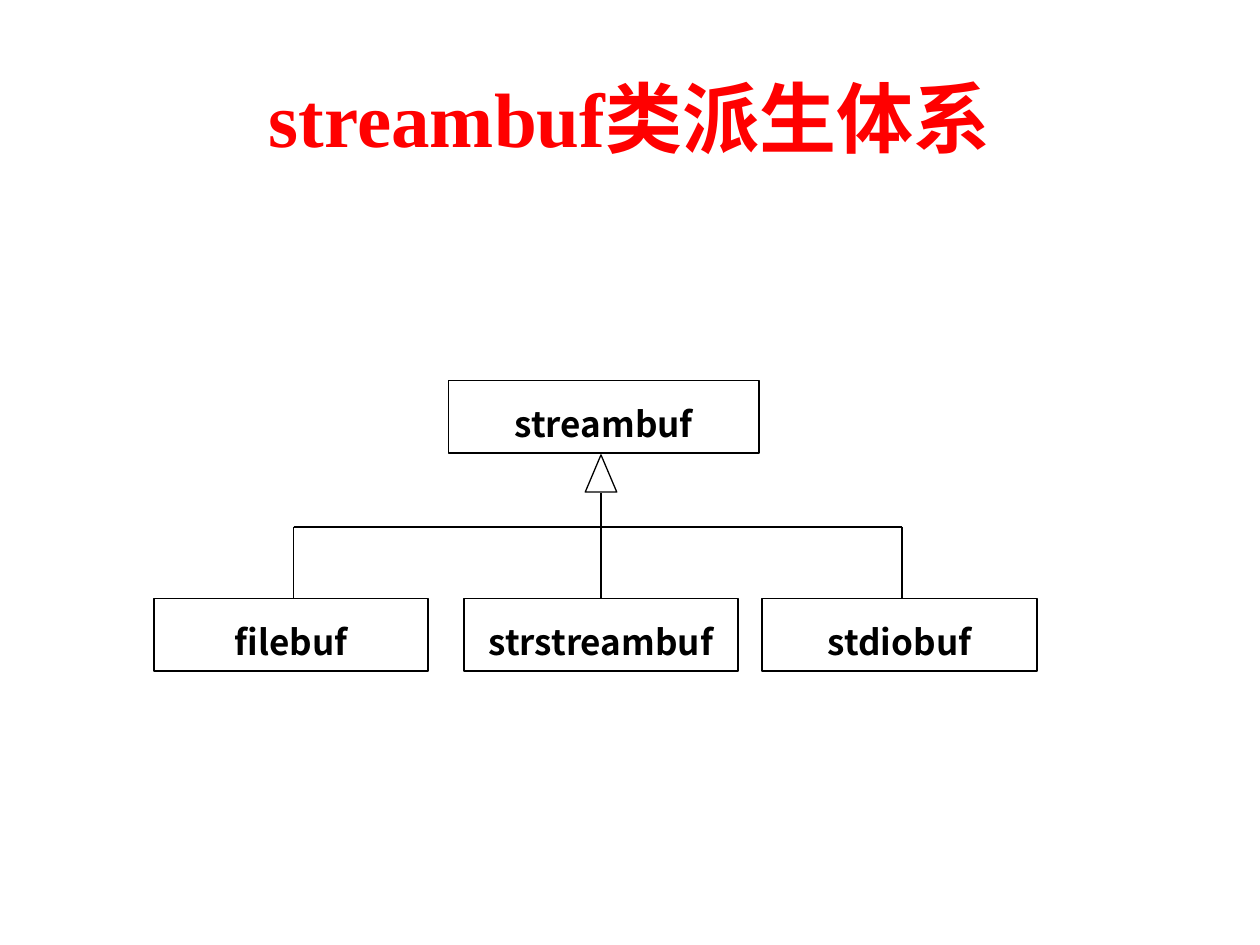
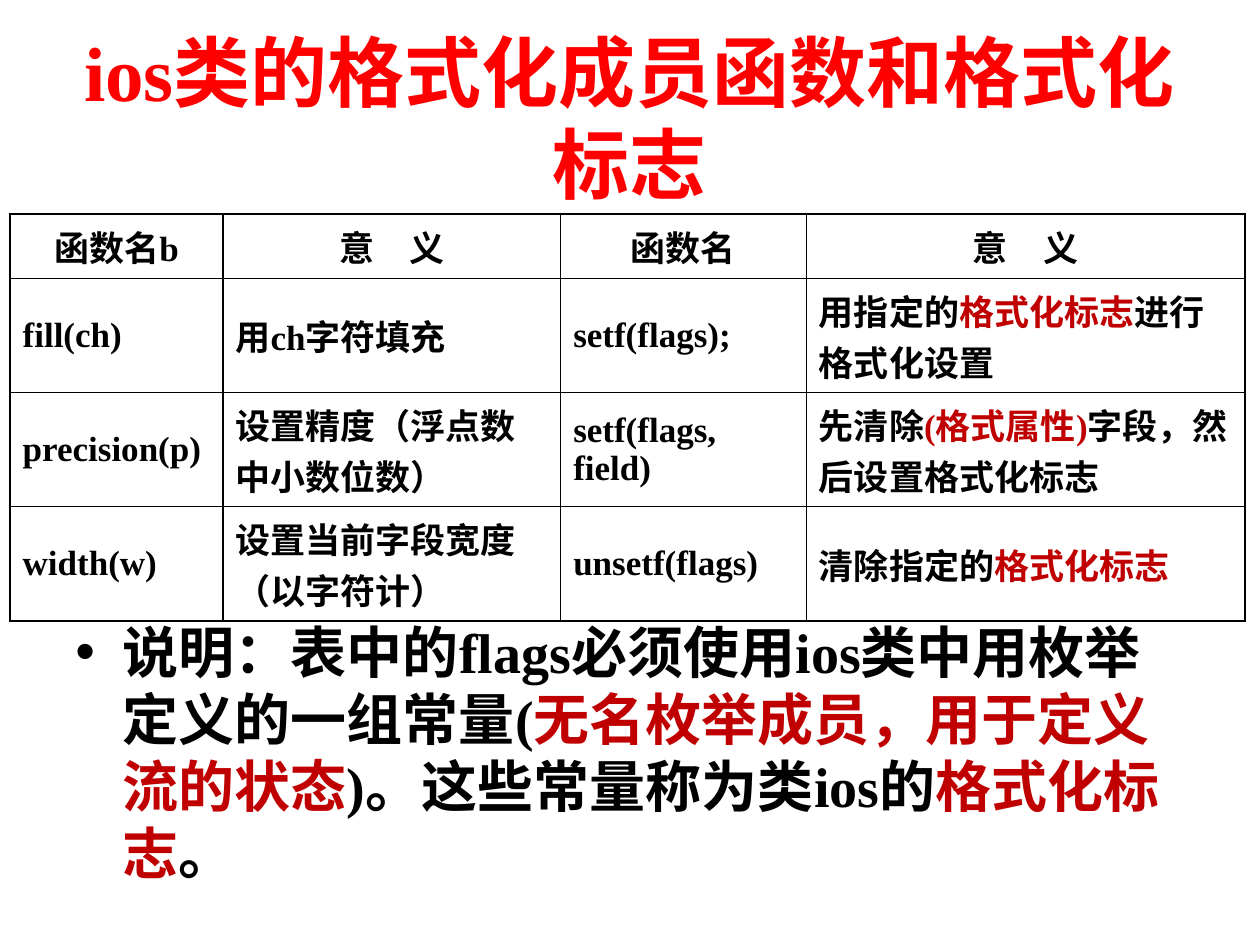
import pptx
import pptx.util
import pptx.dml.color
import pptx.enum.shapes
import pptx.enum.text
import pptx.oxml
import pptx.oxml.ns

INK, RED, DARK, PAPER = "000000", "FF0000", "C00000", "FFFFFF"
SERIF, SANS = "Times New Roman", "Noto Sans CJK SC"

TREE = "streambuf类派生体系"
BASE = "streambuf"
KIDS = [("filebuf", 12.2, 23.3), ("strstreambuf", 36.8, 47.7), ("stdiobuf", 60.5, 71.6)]

FLAGS = "ios类的格式化成员函数和格式化标志"
ROWS = [
    ("函数名b", "意\u3000义", "函数名", "意\u3000义"),
    ("fill(ch)", "用ch字符填充", "setf(flags);", "用指定的*格式化标志*进行格式化设置"),
    ("precision(p)", "设置精度（浮点数中小数位数）", "setf(flags, field)",
     "先清除*(格式属性)*字段，然后设置格式化标志"),
    ("width(w)", "设置当前字段宽度（以字符计）", "unsetf(flags)", "清除指定的*格式化标志*"),
]
COLS = [16.9, 26.8, 19.5, 34.8]
TALL = [5.1, 9.06, 9.06, 9.06]
NOTE = ("说明：表中的flags必须使用ios类中用枚举定义的一组常量(*无名枚举成员，用于定义流的状态*"
        ")。这些常量称为类ios的*格式化标志*。")

deck = pptx.Presentation()
deck.slide_width, deck.slide_height = pptx.util.Inches(10), pptx.util.Inches(7.5)
UNIT = deck.slide_width / 100
Shape = pptx.enum.shapes.MSO_SHAPE
Align = pptx.enum.text.PP_ALIGN
Anchor = pptx.enum.text.MSO_ANCHOR


def grid(*cells):
    return [round(cell * UNIT) for cell in cells]


def tint(code):
    return pptx.dml.color.RGBColor.from_string(code)


def add(node, tag, **attrs):
    item = node.makeelement(pptx.oxml.ns.qn(tag), attrs)
    node.append(item)
    return item


def write(frame, text, size=20, font=SERIF, color=INK, align=Align.LEFT, space=1.0):
    frame.word_wrap = True
    para = frame.paragraphs[0]
    para.alignment = align
    para.line_spacing = space
    for turn, part in enumerate(text.split("*")):
        if not part:
            continue
        run = para.add_run()
        run.text = part
        run.font.size = pptx.util.Pt(size)
        run.font.bold = True
        run.font.name = font
        run.font.color.rgb = tint(DARK if turn % 2 else color)
        add(run.font._element, "a:ea", typeface=SANS)
    return para


def page(title):
    slide = deck.slides.add_slide(deck.slide_layouts[6])
    frame = slide.shapes.add_textbox(*grid(5, 3, 90, 12.5)).text_frame
    frame.vertical_anchor = Anchor.MIDDLE
    write(frame, title, size=44, color=RED, align=Align.CENTER)
    return slide


def block(slide, kind, area, width=1):
    shape = slide.shapes.add_shape(kind, *grid(*area))
    shape.shadow.inherit = False
    shape.fill.solid()
    shape.fill.fore_color.rgb = tint(PAPER)
    shape.line.color.rgb = tint(INK)
    shape.line.width = pptx.util.Pt(width)
    return shape


def label(slide, text, area):
    frame = block(slide, Shape.RECTANGLE, area).text_frame
    frame.margin_left = frame.margin_right = 0
    frame.margin_top = frame.margin_bottom = 0
    frame.vertical_anchor = Anchor.MIDDLE
    write(frame, text, font=SANS, align=Align.CENTER, space=1.3)


def rule(slide, *ends):
    line = slide.shapes.add_connector(pptx.enum.shapes.MSO_CONNECTOR.STRAIGHT, *grid(*ends))
    line.line.color.rgb = tint(INK)
    line.line.width = pptx.util.Pt(1)
    add(line._element.spPr, "a:effectLst")


def edge(cell):
    props = cell._tc.get_or_add_tcPr()
    for spot, side in enumerate(("a:lnL", "a:lnR", "a:lnT", "a:lnB")):
        line = add(props, side, w="12700")
        add(add(line, "a:solidFill"), "a:srgbClr", val=INK)
        props.remove(line)
        props.insert(spot, line)


def tree():
    slide = page(TREE)
    bar, low, mid = 41.8, 47.5, KIDS[1][2]
    block(slide, Shape.FLOWCHART_EXTRACT, (46.45, 36.1, 2.5, 2.95), width=0.75)
    label(slide, BASE, (35.6, 30.2, 24.65, 5.75))
    for name, left, stem in KIDS:
        label(slide, name, (left, low, 21.8, 5.75))
        rule(slide, stem, bar, stem, low)
    rule(slide, KIDS[0][2], bar, KIDS[-1][2], bar)
    rule(slide, mid, bar, mid, 39.1)


def flags():
    slide = page(FLAGS)
    frame = slide.shapes.add_textbox(*grid(5, 48.5, 90, 19.3)).text_frame
    para = write(frame, NOTE, size=32)
    para.space_before = para.space_after = pptx.util.Pt(6.4)
    props = para._p.get_or_add_pPr()
    inset = grid(3.75)[0]
    props.set("marL", str(inset))
    props.set("indent", str(-inset))
    add(props, "a:buFont", typeface="Arial")
    add(props, "a:buChar", char="•")

    area = grid(0.8, 17, sum(COLS), sum(TALL))
    table = slide.shapes.add_table(len(ROWS), len(COLS), *area).table
    table.first_row = table.horz_banding = False
    for col, wide in zip(table.columns, grid(*COLS)):
        col.width = wide
    for row, tall in zip(table.rows, grid(*TALL)):
        row.height = tall
    for r, texts in enumerate(ROWS):
        for c, text in enumerate(texts):
            cell = table.cell(r, c)
            cell.fill.solid()
            cell.fill.fore_color.rgb = tint(PAPER)
            cell.vertical_anchor = Anchor.MIDDLE
            write(cell.text_frame, text, align=Align.LEFT if r else Align.CENTER)
            edge(cell)


tree()
flags()
deck.save("out.pptx")
